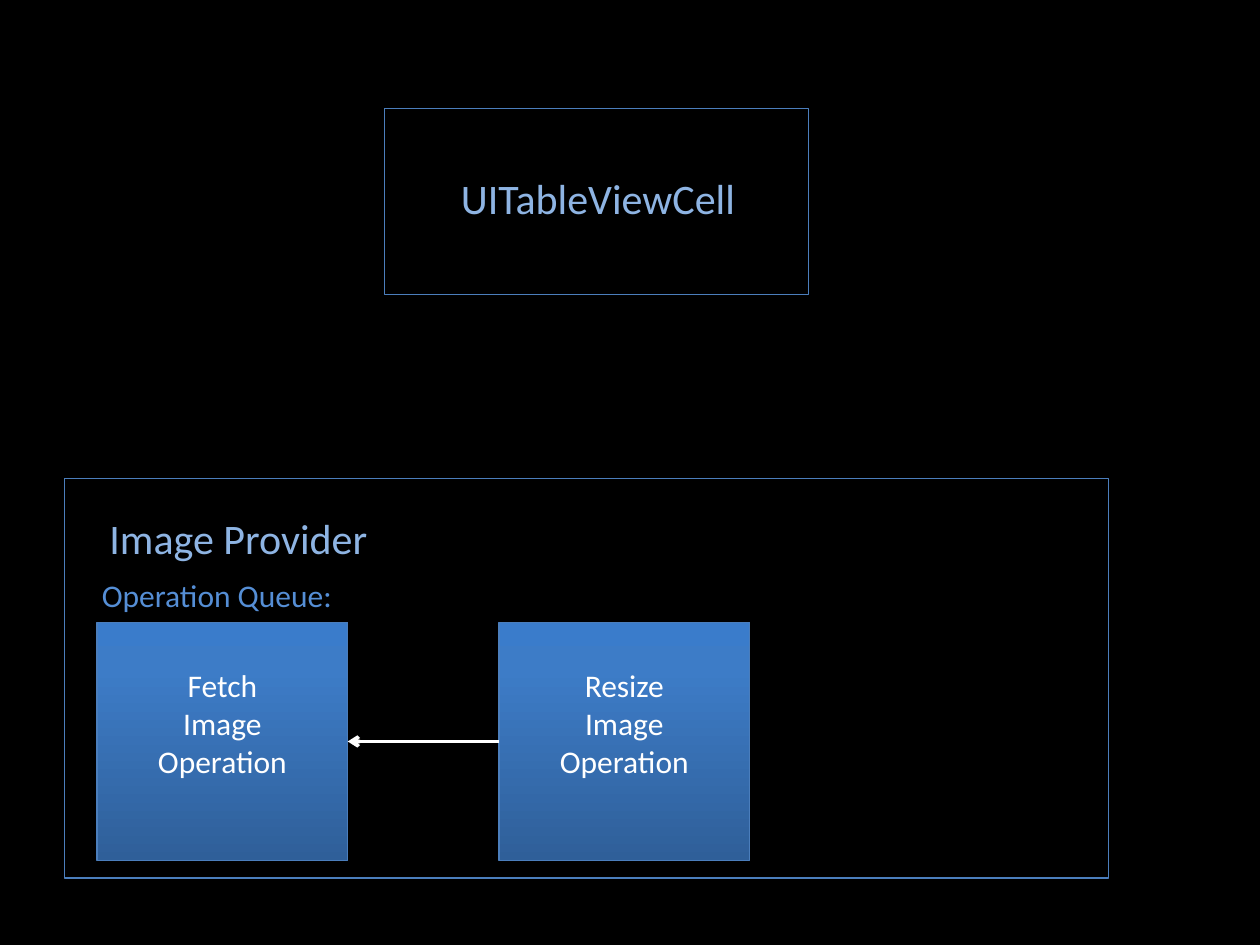
from copy import deepcopy
from dataclasses import dataclass

from pptx import Presentation
from pptx.dml.color import RGBColor
from pptx.enum.shapes import MSO_CONNECTOR as Conn, MSO_SHAPE as Shape
from pptx.enum.text import MSO_ANCHOR as Anchor, MSO_AUTO_SIZE as AutoSize, PP_ALIGN as Align
from pptx.oxml.ns import qn
from pptx.oxml.xmlchemy import OxmlElement
from pptx.util import Inches, Pt

COLORS = {
    "background": "000000",
    "outline": "4B7EBC",
    "heading": "8EB4E3",
    "subheading": "558ED5",
    "white": "FFFFFF",
}
GRADIENT = [(0, "2F5F99"), (0.8, "3D7CC7"), (1, "3A7CCB")]
FONT = "Calibri"


@dataclass
class Box:
    x: float
    y: float
    w: float
    h: float


@dataclass
class Label:
    text: str
    box: Box
    size: int
    color: str


@dataclass
class Operation:
    verb: str
    x: float


OP_Y, OP_W, OP_H = 4.94, 1.99, 1.89
FETCH = Operation("Fetch", 0.77)
RESIZE = Operation("Resize", 3.96)
FRAMES = [Box(0.51, 3.8, 8.29, 3.17), Box(3.05, 0.86, 3.37, 1.48)]
LABELS = [
    Label("Image Provider", Box(0.77, 4.02, 2.28, 0.5), 24, "heading"),
    Label("Operation Queue:", Box(0.71, 4.52, 2.05, 0.4), 18, "subheading"),
    Label("UITableViewCell", Box(3.56, 1.32, 2.43, 0.5), 24, "heading"),
]


def rgb(name: str) -> RGBColor:
    return RGBColor.from_string(COLORS[name])


def set_font(p, size: int, color: str) -> None:
    p.font.name = FONT
    p.font.size = Pt(size)
    p.font.color.rgb = rgb(color)


def add_rect(s, box: Box):
    sp = s.shapes.add_shape(
        Shape.RECTANGLE, Inches(box.x), Inches(box.y), Inches(box.w), Inches(box.h))
    sp.shadow.inherit = False
    sp.fill.background()
    sp.line.color.rgb = rgb("outline")
    sp.line.width = Pt(0.75)
    return sp


def fill_gradient(sp) -> None:
    sp.fill.gradient()
    sp.fill.gradient_angle = 90
    gs_lst = sp._element.spPr.find(".//" + qn("a:gsLst"))
    gs_lst.append(deepcopy(gs_lst[-1]))
    for stop, (position, color) in zip(sp.fill.gradient_stops, GRADIENT):
        stop.position = position
        stop.color.rgb = RGBColor.from_string(color)


def add_operation(s, op: Operation):
    sp = add_rect(s, Box(op.x, OP_Y, OP_W, OP_H))
    fill_gradient(sp)
    tf = sp.text_frame
    tf.vertical_anchor = Anchor.MIDDLE
    tf.margin_bottom = Inches(0.35)
    tf.text = f"{op.verb}\nImage\nOperation"
    for p in tf.paragraphs:
        p.alignment = Align.CENTER
        set_font(p, 18, "white")
    return sp


def add_label(s, label: Label) -> None:
    b = label.box
    tf = s.shapes.add_textbox(Inches(b.x), Inches(b.y), Inches(b.w), Inches(b.h)).text_frame
    tf.word_wrap = False
    tf.auto_size = AutoSize.SHAPE_TO_FIT_TEXT
    tf.text = label.text
    set_font(tf.paragraphs[0], label.size, label.color)


def add_arrow(s, start, end) -> None:
    cx = s.shapes.add_connector(Conn.STRAIGHT, 0, 0, 0, 0)
    cx.begin_connect(start, 1)
    cx.end_connect(end, 3)
    cx.line.color.rgb = rgb("white")
    cx.line.width = Pt(2)
    tail = OxmlElement("a:tailEnd")
    tail.set("type", "arrow")
    cx.line._get_or_add_ln().append(tail)
    cx._element.spPr.append(OxmlElement("a:effectLst"))


prs = Presentation()
prs.slide_width, prs.slide_height = Inches(10), Inches(7.5)
s = prs.slides.add_slide(prs.slide_layouts[6])
s.background.fill.solid()
s.background.fill.fore_color.rgb = rgb("background")

fetch, resize = [add_operation(s, op) for op in (FETCH, RESIZE)]
add_arrow(s, resize, fetch)
for frame in FRAMES:
    add_rect(s, frame)
for label in LABELS:
    add_label(s, label)

prs.save("out.pptx")
